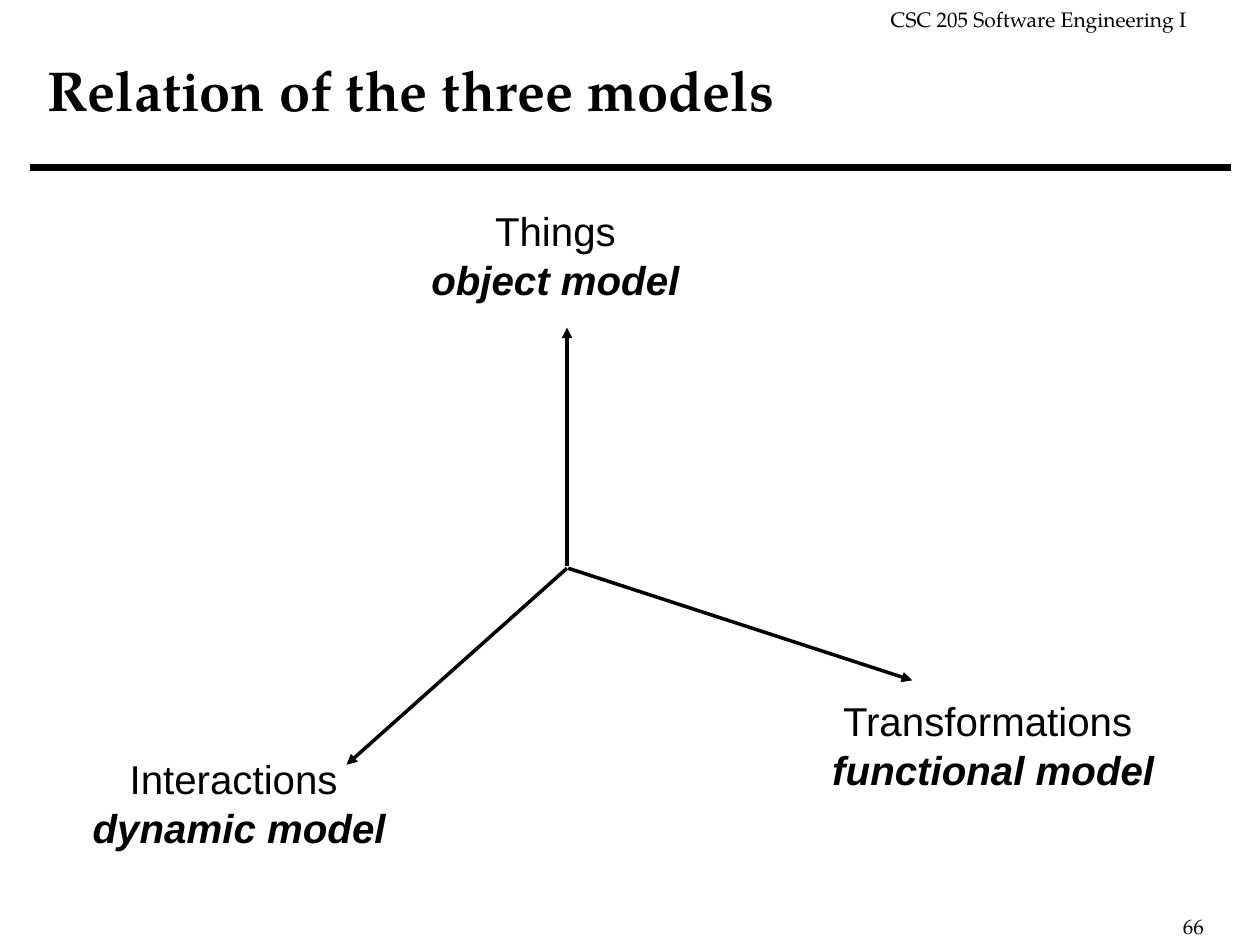
from lxml.etree import SubElement
from pptx import Presentation
from pptx.dml.color import RGBColor
from pptx.enum.shapes import MSO_CONNECTOR, MSO_SHAPE
from pptx.enum.text import MSO_ANCHOR, PP_ALIGN
from pptx.oxml.ns import qn
from pptx.util import Inches, Pt

BLACK, WHITE = "000000", "FFFFFF"
SERIF, SANS = "TeX Gyre Pagella", "Arial"

COURSE = ("CSC 205 Software Engineering I", (6.97, 0, 2.55, 0.3))
PAGE = ("66", (9.29, 7.2, 0.6, 0.3))
TITLE = ("Relation of the three models", (0.31, 0.41, 6.1, 0.59))
RULE = ((0.24, 1.33), (9.77, 1.33))
MODELS = [
    ("Things", "object model", (3.33, 1.59, 2.16, 0.86)),
    ("Interactions ", "dynamic model", (0.64, 5.94, 2.52, 0.86)),
    ("Transformations ", "functional model", (6.51, 5.48, 2.75, 0.86)),
]
AXES = [
    ((4.5, 4.49), (4.5, 2.6)),
    ((4.5, 4.51), (2.75, 6.07)),
    ((4.51, 4.51), (7.24, 5.4)),
]


def color(value):
    """Turn a hex string into a colour."""
    return RGBColor.from_string(value)


def write(shape, lines, size, font, margins=(0.1, 0.05), align=PP_ALIGN.LEFT, wrap=False):
    """Fill a shape with (text, bold, italic) lines."""
    frame = shape.text_frame
    frame.word_wrap = wrap
    frame.vertical_anchor = MSO_ANCHOR.TOP
    frame.margin_left = frame.margin_right = Inches(margins[0])
    frame.margin_top = frame.margin_bottom = Inches(margins[1])
    for index, (text, bold, italic) in enumerate(lines):
        paragraph = frame.add_paragraph() if index else frame.paragraphs[0]
        paragraph.alignment = align
        run = paragraph.add_run()
        run.text = text
        run.font.name = font
        run.font.size = Pt(size)
        run.font.bold = bold
        run.font.italic = italic
        run.font.color.rgb = color(BLACK)


def add_line(slide, start, end, width, arrow=False):
    """Draw a straight line, with an arrowhead at its end if asked."""
    line = slide.shapes.add_connector(
        MSO_CONNECTOR.STRAIGHT, *map(Inches, start + end))
    line.line.color.rgb = color(BLACK)
    line.line.width = Pt(width)
    if arrow:
        SubElement(line.line._get_or_add_ln(), qn("a:tailEnd"), type="triangle")
    SubElement(line._element.spPr, qn("a:effectLst"))


def main():
    """Build the slide and save it."""
    deck = Presentation()
    deck.slide_width, deck.slide_height = Inches(10), Inches(7.5)
    slide = deck.slides.add_slide(deck.slide_layouts[6])

    course, place = COURSE
    header = slide.shapes.add_shape(MSO_SHAPE.RECTANGLE, *map(Inches, place))
    header.shadow.inherit = False
    header.fill.solid()
    header.fill.fore_color.rgb = color(WHITE)
    header.line.fill.background()
    write(header, [(course, False, False)], 12, SERIF)

    number, place = PAGE
    page = slide.shapes.add_textbox(*map(Inches, place))
    write(page, [(number, False, False)], 12, SERIF, wrap=True)

    add_line(slide, *RULE, 4)

    heading, place = TITLE
    title = slide.shapes.add_textbox(*map(Inches, place))
    write(title, [(heading, True, False)], 32, SERIF, (0.07, 0.03), wrap=True)

    for start, end in AXES:
        add_line(slide, start, end, 2, arrow=True)

    for aspect, model, place in MODELS:
        label = slide.shapes.add_textbox(*map(Inches, place))
        write(label, [(aspect, False, False), (model, True, True)], 23, SANS,
              (0.09, 0.05), PP_ALIGN.CENTER)

    deck.save("out.pptx")


if __name__ == "__main__":
    main()
